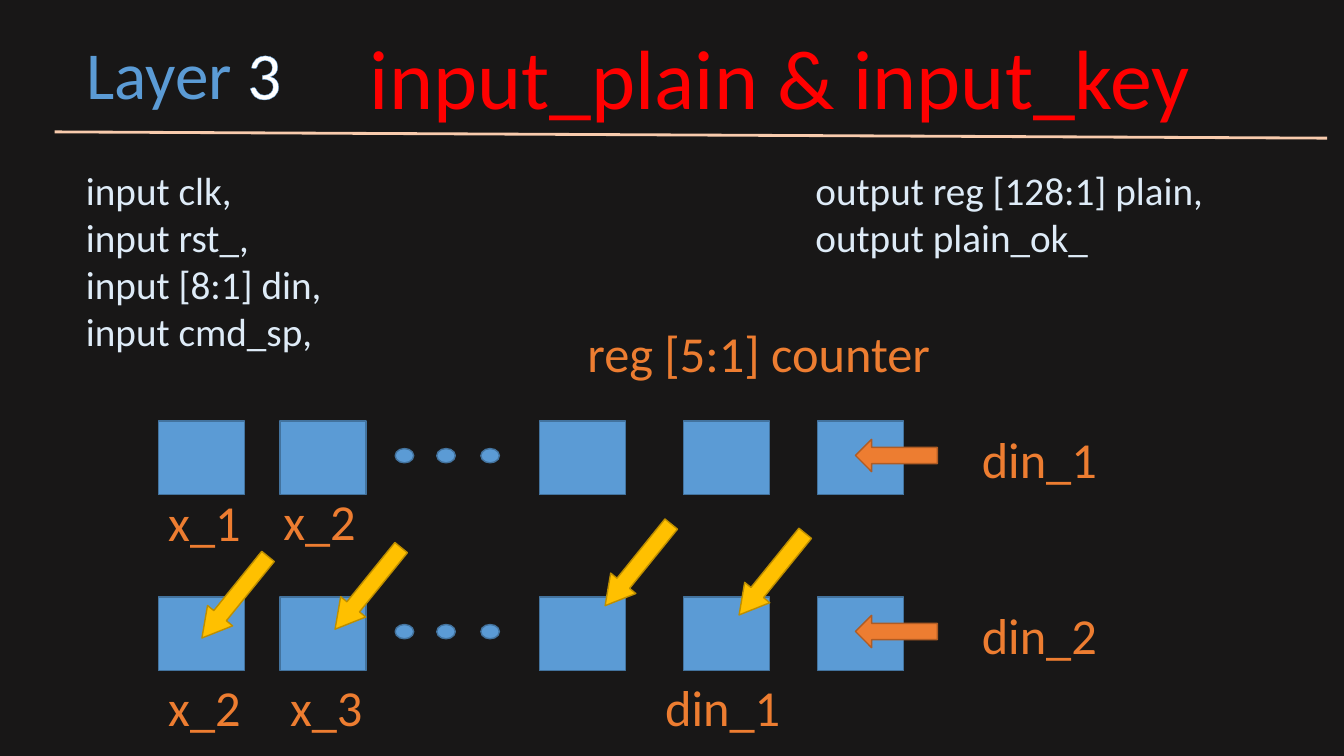
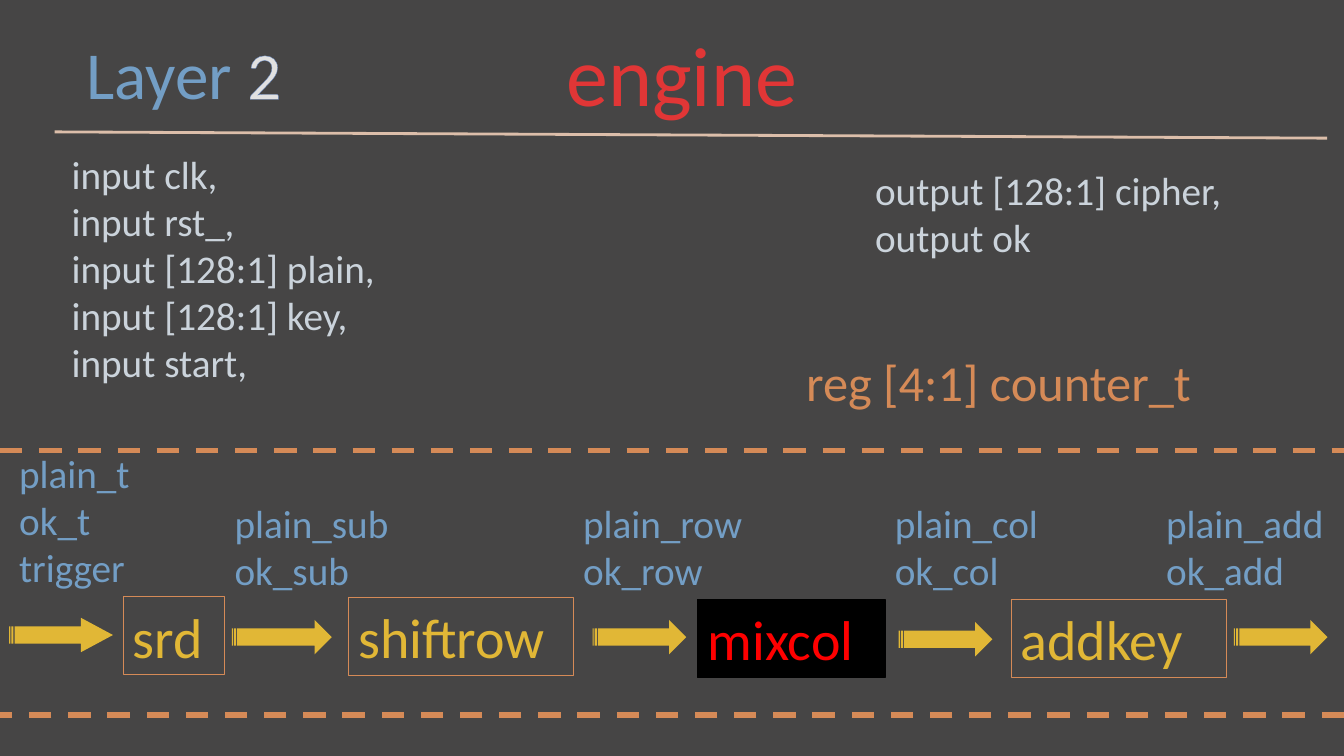
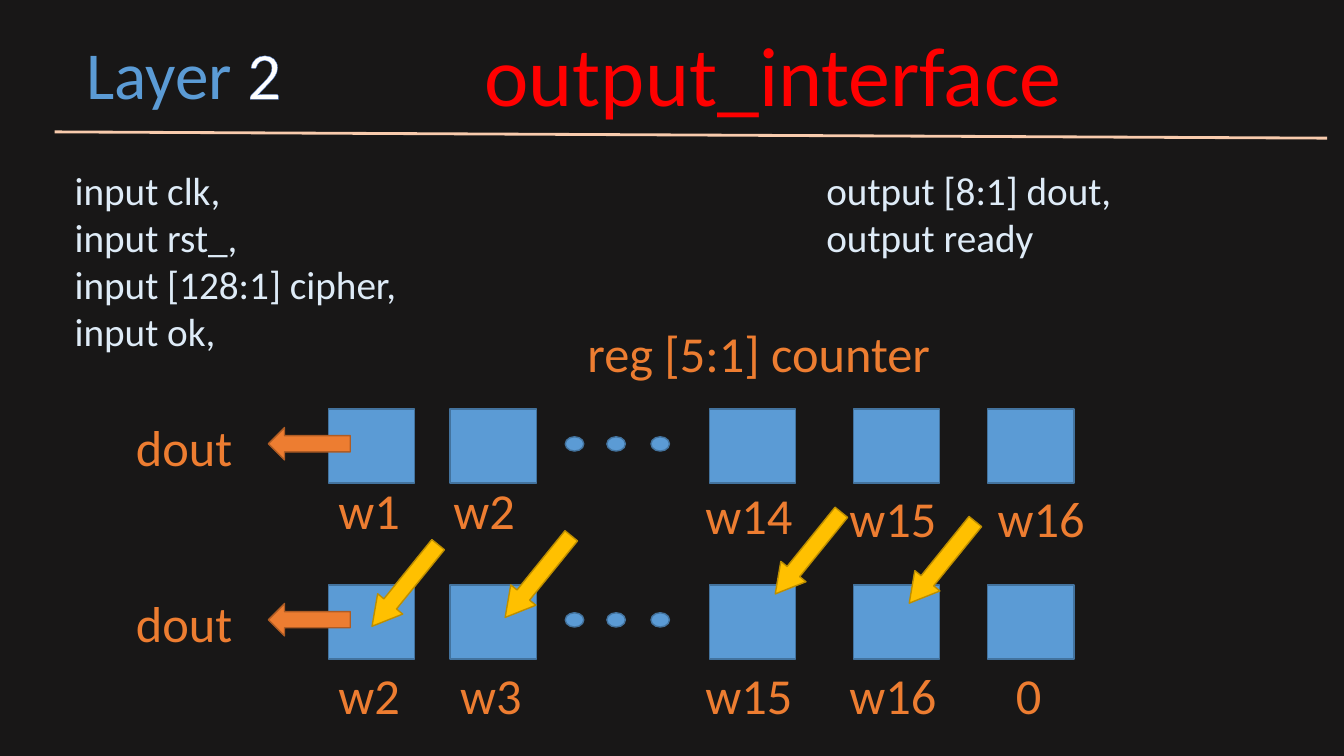
"""Three dark slides on cipher hardware modules, laid out on a grid of 160 columns by 90 rows."""
from lxml import etree
from pptx import Presentation
from pptx.dml.color import RGBColor
from pptx.enum.dml import MSO_LINE
from pptx.enum.shapes import MSO_CONNECTOR, MSO_SHAPE
from pptx.enum.text import MSO_ANCHOR, PP_ALIGN
from pptx.oxml.ns import qn
from pptx.util import Pt

SQUARE, DOT = MSO_SHAPE.RECTANGLE, MSO_SHAPE.OVAL
LEFT_ARROW, DOWN_ARROW = MSO_SHAPE.LEFT_ARROW, MSO_SHAPE.DOWN_ARROW
STRIPED_ARROW = MSO_SHAPE.STRIPED_RIGHT_ARROW
STRAIGHT, DASH = MSO_CONNECTOR.STRAIGHT, MSO_LINE.DASH
TOP, MIDDLE, LEFT = MSO_ANCHOR.TOP, MSO_ANCHOR.MIDDLE, PP_ALIGN.LEFT

FONT = "Calibri"
CELL = Pt(6)
COLUMNS, ROWS = 160, 90
COLORS = {
    "night": "181717", "blue": "5B9BD5", "blue edge": "43739E", "white": "FFFFFF",
    "digit edge": "4472C4", "red": "FF0000", "peach": "F8CBAD", "ice": "DEEBF7",
    "orange": "ED7D31", "orange edge": "AF5C24", "gold": "FFC000", "gold edge": "BD8E00",
    "veil": "A5A5A5", "black": "000000",
}
RGB = {name: RGBColor.from_string(code) for name, code in COLORS.items()}


def place(slide, kind, x, y, w, h=8.5, fill=None, line=None, weight=1):
    """Add a preset shape, or a text box when kind is None, at grid cells."""
    cells = [round(length * CELL) for length in (x, y, w, h)]
    if kind is None:
        return slide.shapes.add_textbox(*cells)
    shape = slide.shapes.add_shape(kind, *cells)
    shape.shadow.inherit = False
    if fill:
        shape.fill.solid()
        shape.fill.fore_color.rgb = RGB[fill]
    else:
        shape.fill.background()
    if line:
        shape.line.color.rgb = RGB[line]
        shape.line.width = Pt(weight)
    else:
        shape.line.fill.background()
    return shape


def write(box, text, size=36, color="orange", anchor=TOP):
    """Write the lines of a text into a box and return its last run."""
    frame = box.text_frame
    frame.word_wrap = True
    frame.vertical_anchor = anchor
    for number, words in enumerate(text.split("\n")):
        paragraph = frame.add_paragraph() if number else frame.paragraphs[0]
        paragraph.alignment = LEFT
        run = paragraph.add_run()
        run.text = words
        run.font.name, run.font.size = FONT, Pt(size)
        run.font.color.rgb = RGB[color]
    return run


deck = Presentation()
deck.slide_width, deck.slide_height = COLUMNS * CELL, ROWS * CELL
backdrop = deck.slide_master.background.fill
backdrop.solid()
backdrop.fore_color.rgb = RGB["night"]

modules = [
    {"layer": "3", "digit edge": "blue", "title": ("input_plain & input_key", 42.85, 2.4),
     "inputs": ("input clk,\ninput rst_,\ninput [8:1] din,\ninput cmd_sp,", 9.05, 19.2),
     "outputs": ("output reg [128:1] plain,\noutput plain_ok_", 95.9),
     "counter": ("reg [5:1] counter", 68.75, 37.8)},
    {"layer": "2", "digit edge": "digit edge", "title": ("engine", 66.25, 2.05),
     "inputs": ("input clk,\ninput rst_,\ninput [128:1] plain,\ninput [128:1] key,\ninput start,", 7.35, 17.3),
     "outputs": ("output [128:1] cipher,\noutput ok", 103),
     "counter": ("reg [4:1] counter_t", 94.8, 41.15)},
    {"layer": "2", "digit edge": "digit edge", "title": ("output_interface", 56.5, 2.05),
     "inputs": ("input clk,\ninput rst_,\ninput [128:1] cipher,\ninput ok,", 7.7, 19.2),
     "outputs": ("output [8:1] dout,\noutput ready", 97.2),
     "counter": ("reg [5:1] counter", 68.75, 37.8)},
]
slides = []
for module in modules:
    slide = deck.slides.add_slide(deck.slide_layouts[6])
    slides.append(slide)

    heading = place(slide, None, 9.1, 3.25, 28.8, 10.9)
    write(heading, "Layer ", size=48, color="blue")
    digit = heading.text_frame.paragraphs[0].add_run()
    digit.text = module["layer"]
    digit.font.name, digit.font.size = FONT, Pt(48)
    digit.font.color.rgb = RGB["white"]
    outline = etree.Element(qn("a:ln"), w=str(Pt(0.75)))
    outline_fill = etree.SubElement(outline, qn("a:solidFill"))
    etree.SubElement(outline_fill, qn("a:srgbClr"), val=COLORS[module["digit edge"]])
    digit.font._element.insert(0, outline)

    title, x, y = module["title"]
    write(place(slide, None, x, y, 150 - x, 13.3), title, size=60, color="red")
    rule = slide.shapes.add_connector(
        STRAIGHT, *[round(length * CELL) for length in (6.5, 15.7, 158, 16.45)])
    rule.line.color.rgb, rule.line.width = RGB["peach"], Pt(2)
    etree.SubElement(rule._element.spPr, qn("a:effectLst"))

    inputs, x, y = module["inputs"]
    write(place(slide, None, x, y, 45, 24), inputs, size=28, color="ice")
    outputs, x = module["outputs"]
    write(place(slide, None, x, 19.2, 54, 12.5), outputs, size=28, color="ice")
    counter, x, y = module["counter"]
    write(place(slide, None, x, y, 51), counter)

input_slide, engine_slide, output_slide = slides

ROW_PITCH = 20.95
REGISTERS = [0, 14.5, 45.35, 62.5, 78.5]
DOTS = [28.2, 33.15, 38.4]
SHIFTS = [(7.2, 14.75), (23.05, 13.7), (55.2, 10.9), (71.15, 12)]
BELOW = 29.75
banks = [
    (input_slide, 18.85, 50.1, 83, 96.85, ["din_1", "din_2"],
     [("x_1", 0, 7.8), ("x_2", 13.7, 7.7),
      ("x_2", 0, BELOW), ("x_3", 14.5, BELOW), ("din_1", 59.15, BELOW)]),
    (output_slide, 39.1, 48.7, -7.15, -24.1, ["dout", "dout"],
     [("w1", 0, 7.8), ("w2", 13.7, 7.7), ("w14", 43.7, 8.3), ("w15", 60.85, 8.65),
      ("w16", 78.5, 8.75), ("w2", 0, BELOW), ("w3", 14.5, BELOW),
      ("w15", 43.7, BELOW), ("w16", 60.85, BELOW), ("0", 80.65, BELOW)]),
]
for slide, left, top, port_x, port_label_x, ports, labels in banks:
    for row, port in enumerate(ports):
        y = top + row * ROW_PITCH
        for x in REGISTERS:
            place(slide, SQUARE, left + x, y, 10.25, 8.8, fill="blue", line="blue edge")
        for x in DOTS:
            place(slide, DOT, left + x, y + 3.3, 2.2, 1.7, fill="blue", line="blue edge")
        place(slide, LEFT_ARROW, left + port_x, y + 2.2, 9.75, 3.85,
              fill="orange", line="orange edge")
        write(place(slide, None, left + port_label_x, y + 0.25, 17), port)
    for label, x, y in labels:
        write(place(slide, None, left + x, top + y, 17), label)
    for x, y in SHIFTS:
        shift = place(slide, DOWN_ARROW, left + x, top + y, 3.85, 12.5,
                      fill="gold", line="gold edge")
        shift.rotation = 39
        shift.adjustments[1] = 0.89

signals = [("plain_t\nok_t\ntrigger", 1.1, 52.9), ("plain_sub\nok_sub", 26.75, 58.9),
           ("plain_row\nok_row", 68.25, 58.9), ("plain_col\nok_col", 105.35, 58.9),
           ("plain_add\nok_add", 137.65, 58.9)]
for signal, x, y in signals:
    write(place(engine_slide, None, x, y, 22.3, 12.5), signal, size=28, color="blue")

flows = [(1.1, 73.55, 12.35), (27.6, 73.8, 11.9), (70.55, 73.8, 11.15),
         (107, 74.05, 11.15), (146.9, 73.8, 11.15)]
for x, y, w in flows:
    flow = place(engine_slide, STRIPED_ARROW, x, y, w, 4.1, fill="gold")
    if x == flows[0][0]:
        flow.adjustments[1] = 0.93

for start, end, y in [(0, COLUMNS, 53.65), (COLUMNS, 0, 85.1)]:
    border = engine_slide.shapes.add_connector(
        STRAIGHT, start * CELL, round(y * CELL), end * CELL, round(y * CELL))
    border.line.color.rgb, border.line.width = RGB["orange"], Pt(4)
    border.line.dash_style = DASH
    etree.SubElement(border._element.spPr, qn("a:effectLst"))

for stage, x, y, w in [("srd", 14.65, 71.05, 12.1), ("shiftrow", 41.5, 71.15, 26.75),
                       ("addkey", 120.35, 71.4, 25.7)]:
    box = place(engine_slide, SQUARE, x, y, w, 9.25, line="orange", weight=0.5)
    write(box, stage, size=40, color="gold", anchor=MIDDLE)

veil = place(engine_slide, SQUARE, 0, 0, COLUMNS, ROWS, fill="veil")
veil_color = veil._element.spPr.find(qn("a:solidFill"))[0]
etree.SubElement(veil_color, qn("a:alpha"), val="33000")
current = place(engine_slide, SQUARE, 83.05, 71.4, 22.3, 9.25, fill="black", line="black")
write(current, "mixcol", size=40, color="red", anchor=MIDDLE)

deck.save("out.pptx")
